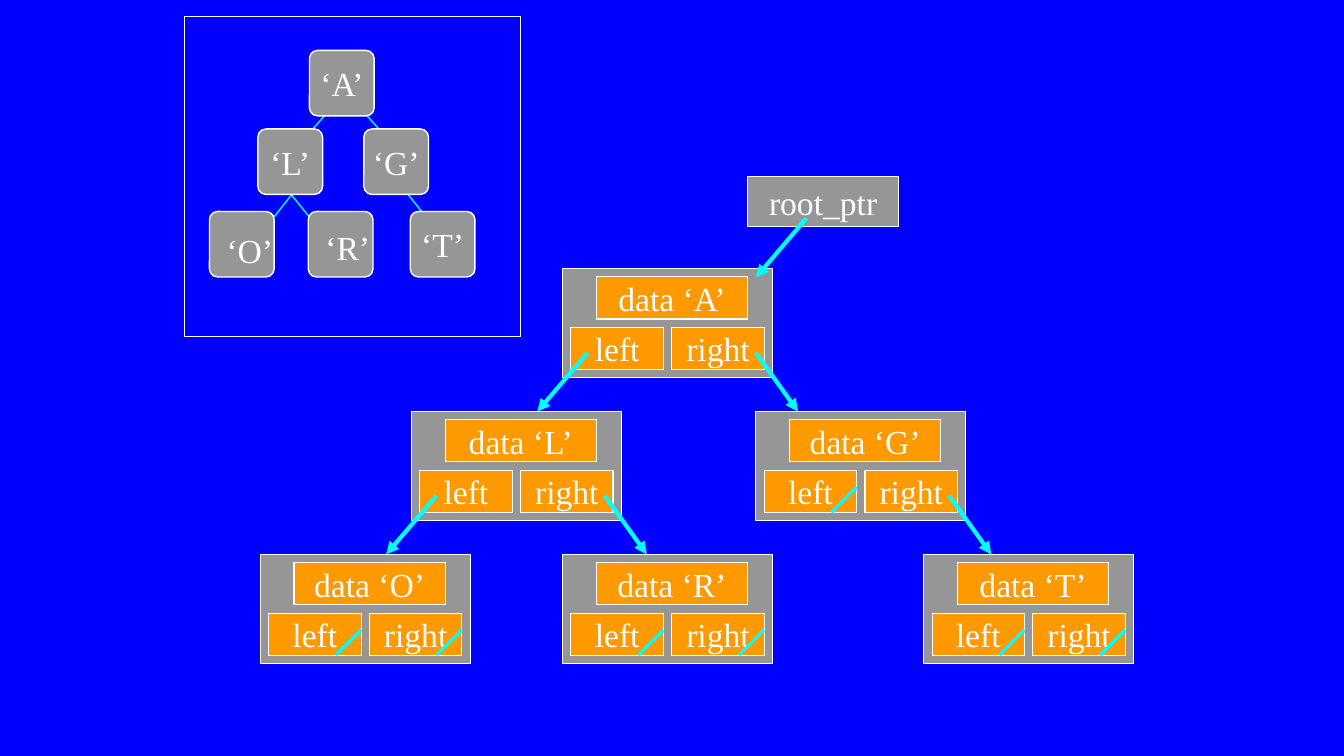
from pptx import Presentation
from pptx.dml.color import RGBColor
from pptx.enum.shapes import MSO_CONNECTOR as CONN, MSO_SHAPE as SHAPE
from pptx.enum.text import MSO_ANCHOR as ANCHOR, MSO_AUTO_SIZE as AUTO, PP_ALIGN as ALIGN
from pptx.oxml.ns import qn
from pptx.util import Cm, Pt
from lxml.etree import SubElement


def rgb(code):
    return RGBColor.from_string(code)


def put_text(sp, text, align=ALIGN.CENTER, anchor=ANCHOR.MIDDLE, font="Times New Roman",
             size=24, color="FFFFFF"):
    tf = sp.text_frame
    tf.word_wrap = False
    tf.vertical_anchor = anchor
    p = tf.paragraphs[0]
    p.alignment = align
    r = p.add_run()
    r.text = text
    r.font.name = font
    r.font.size = Pt(size)
    r.font.color.rgb = rgb(color)


class TreeSlide:
    """Draws binary tree diagrams on one slide, with lengths in centimetres."""

    BLUE, GREY, ORANGE, CYAN, WHITE = "0000FF", "969696", "FF9900", "00FFFF", "FFFFFF"
    NODE = 1.63, 1.65
    RECORD = 5.29, 2.75
    FIELD = 2.33, 1.06

    def __init__(self, prs):
        self.s = prs.slides.add_slide(prs.slide_layouts[6])
        fill = self.s.background.fill
        fill.solid()
        fill.fore_color.rgb = rgb(self.BLUE)

    def box(self, x, y, w, h, text=None, fill=None, kind=SHAPE.RECTANGLE, weight=0.75):
        sp = self.s.shapes.add_shape(kind, Cm(x), Cm(y), Cm(w), Cm(h))
        sp.shadow.inherit = False
        if fill:
            sp.fill.solid()
            sp.fill.fore_color.rgb = rgb(fill)
        else:
            sp.fill.background()
        sp.line.color.rgb = rgb(self.WHITE)
        sp.line.width = Pt(weight)
        if text:
            put_text(sp, text)
        return sp

    def label(self, x, y, w, h, text):
        sp = self.s.shapes.add_textbox(Cm(x), Cm(y), Cm(w), Cm(h))
        put_text(sp, text, align=ALIGN.LEFT, anchor=ANCHOR.TOP)
        sp.text_frame.auto_size = AUTO.SHAPE_TO_FIT_TEXT

    def line(self, x1, y1, x2, y2, weight=1, arrow=False):
        sp = self.s.shapes.add_connector(CONN.STRAIGHT, Cm(x1), Cm(y1), Cm(x2), Cm(y2))
        sp.line.color.rgb = rgb(self.CYAN)
        sp.line.width = Pt(weight)
        if arrow:
            SubElement(sp.line._get_or_add_ln(), qn("a:tailEnd"), type="triangle")
        SubElement(sp._element.spPr, qn("a:effectLst"))

    def node(self, x, y, text=None):
        sp = self.box(x, y, *self.NODE, text, self.GREY, SHAPE.ROUNDED_RECTANGLE, 1)
        sp.adjustments[0] = 0.125

    def record(self, x, y, letter, has_left, has_right):
        self.box(x, y, *self.RECORD, fill=self.GREY)
        self.box(x + 0.85, y + 0.21, 3.81, 1.06, f"data ‘{letter}’", self.ORANGE)
        fields = [("left", 0.21, has_left, 0.42, -0.85),
                  ("right", 2.75, has_right, 2.12, 3.18)]
        fy = y + 1.48
        for name, dx, _, _, _ in fields:
            self.box(x + dx, fy, *self.FIELD, name, self.ORANGE)
        for _, dx, has_child, start, end in fields:
            fx = x + dx
            if has_child:
                self.line(fx + start, fy + 0.64, fx + end, fy + 2.12, 3, arrow=True)
            else:
                self.line(fx + 2.33, fy + 0.42, fx + 1.69, fy + 1.06, 2.25)


def main():
    prs = Presentation()
    prs.slide_width, prs.slide_height = Cm(33.87), Cm(19.05)
    tree = TreeSlide(prs)

    tree.box(4.66, 0.42, 8.46, 8.06)
    branches = [(8.74, 2.34, 10.31, 4.11), (9.17, 1.8, 7.59, 3.58),
                (10.08, 4.65, 11.25, 6.1), (7.01, 4.5, 8.18, 5.94),
                (7.67, 4.5, 6.53, 5.94)]
    for branch in branches:
        tree.line(*branch)
    nodes = [(7.77, 5.33), (5.28, 5.33), (9.17, 3.25, "‘G’"),
             (7.8, 1.27, "‘A’"), (6.5, 3.25, "‘L’"), (10.34, 5.33, "‘T’")]
    for node in nodes:
        tree.node(*node)
    tree.label(5.46, 5.66, 1.68, 1.27, "‘O’")
    tree.label(7.95, 5.59, 1.65, 1.27, "‘R’")

    top, step = 6.77, 3.6
    records = [(14.18, 0, "A", True, True), (10.37, 1, "L", True, True),
               (6.56, 2, "O", False, False), (19.05, 1, "G", False, True),
               (23.28, 2, "T", False, False), (14.18, 2, "R", False, False)]
    for x, level, letter, has_left, has_right in records:
        tree.record(x, top + level * step, letter, has_left, has_right)

    tree.box(18.84, 4.45, 3.81, 1.27, "root_ptr", tree.GREY)
    tree.line(20.32, 5.5, 19.05, 6.99, 3, arrow=True)
    prs.save("out.pptx")


if __name__ == "__main__":
    main()
